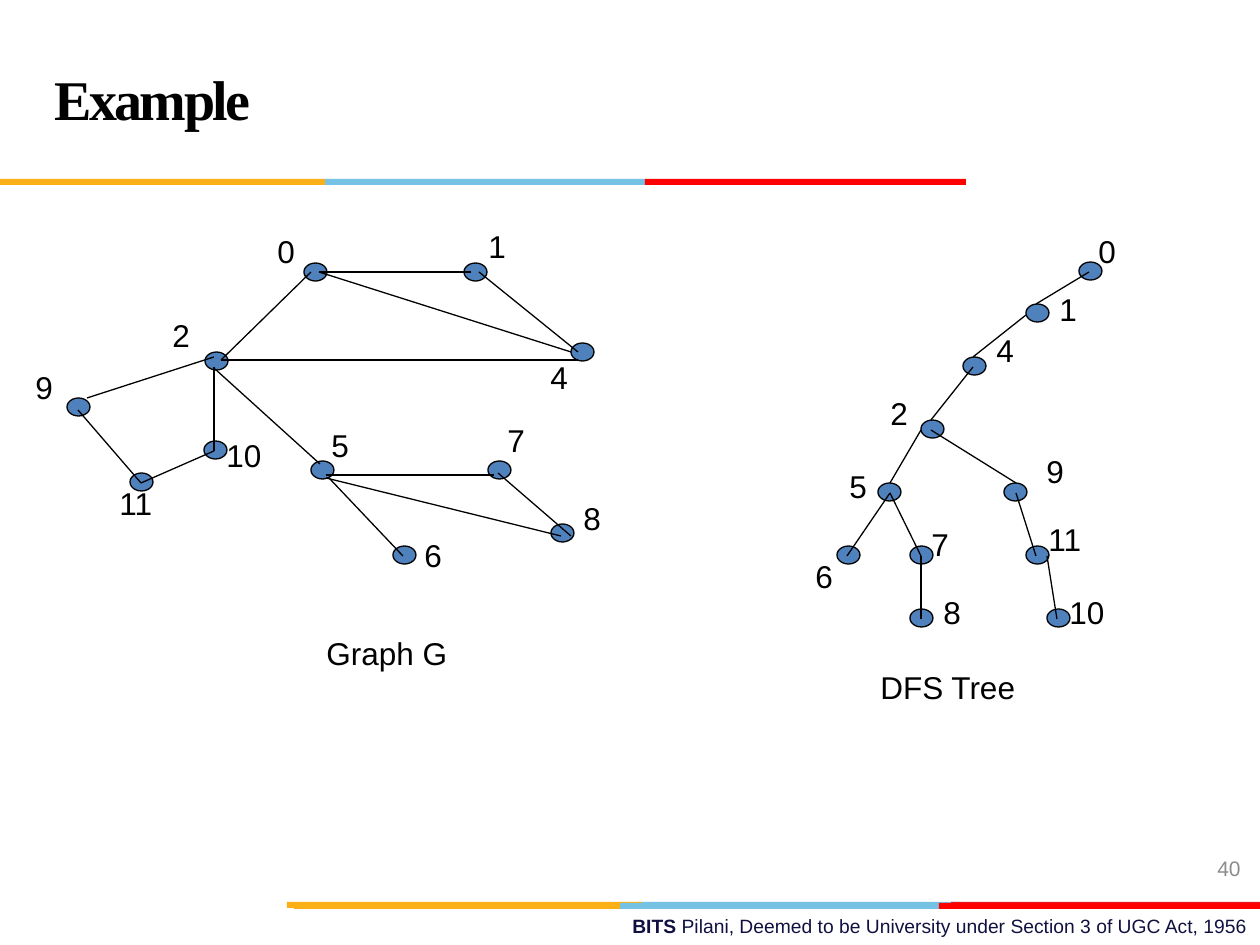
from typing import NamedTuple

from lxml.etree import SubElement
from pptx import Presentation
from pptx.dml.color import RGBColor
from pptx.enum.shapes import MSO_CONNECTOR, MSO_SHAPE
from pptx.enum.text import MSO_ANCHOR, PP_ALIGN
from pptx.oxml.ns import qn
from pptx.util import Emu, Pt

SCALE = 914400 / 126  # EMU in one px
WIDE, HIGH = 1260, 945
NODE_W, NODE_H = 23, 18
BAR_H = 6

BLACK = RGBColor(0x00, 0x00, 0x00)
NAVY = RGBColor(0x10, 0x11, 0x41)
GRAY = RGBColor(0x8C, 0x8C, 0x8C)
BLUE = RGBColor(0x4F, 0x81, 0xBD)
SKY = RGBColor(0x76, 0xC2, 0xE5)
GOLD = RGBColor(0xFC, 0xB0, 0x17)
RED = RGBColor(0xFF, 0x00, 0x00)
CRIMSON = RGBColor(0xE3, 0x1C, 0x24)


class Bar(NamedTuple):
    left: int
    top: int
    width: int
    color: RGBColor


class Node(NamedTuple):
    name: str
    left: int
    top: int
    text_x: int
    text_y: int


class Edge(NamedTuple):
    x1: int
    y1: int
    x2: int
    y2: int


class Graph(NamedTuple):
    title: str
    title_x: int
    title_y: int
    nodes: list[Node]
    edges: list[Edge]


BARS = [
    # Footer stripe, lower layer then upper layer
    Bar(638, 902, 321, SKY), Bar(951, 902, 309, CRIMSON), Bar(287, 902, 355, GOLD),
    Bar(620, 903, 321, SKY), Bar(294, 903, 326, GOLD), Bar(939, 903, 321, RED),
    # Stripe under the title
    Bar(325, 179, 321, SKY), Bar(0, 179, 325, GOLD), Bar(645, 179, 321, RED),
]

TREE = Graph(
    "DFS Tree", 868, 662,
    [
        Node("0", 1079, 262, 1086, 226), Node("1", 1026, 304, 1047, 284),
        Node("4", 963, 357, 984, 325), Node("2", 921, 420, 878, 388),
        Node("5", 878, 483, 837, 461), Node("9", 1004, 483, 1034, 446),
        Node("6", 837, 546, 803, 551), Node("7", 910, 546, 919, 519),
        Node("8", 910, 609, 931, 587), Node("11", 1026, 546, 1036, 514),
        Node("10", 1047, 609, 1057, 587),
    ],
    [
        Edge(1036, 304, 1089, 272), Edge(973, 357, 1026, 315),
        Edge(973, 367, 931, 420), Edge(890, 483, 921, 430),
        Edge(847, 556, 890, 493), Edge(890, 493, 921, 556),
        Edge(921, 556, 921, 619), Edge(931, 430, 1016, 483),
        Edge(1016, 493, 1036, 556), Edge(1047, 556, 1057, 619),
    ],
)

GRAPH = Graph(
    "Graph G", 314, 628,
    [
        Node("0", 304, 263, 265, 226), Node("1", 464, 263, 476, 221),
        Node("2", 205, 352, 160, 310), Node("4", 571, 343, 538, 352),
        Node("5", 311, 461, 319, 420), Node("6", 393, 546, 412, 530),
        Node("7", 488, 461, 495, 415), Node("8", 551, 524, 571, 493),
        Node("9", 67, 398, 23, 362), Node("10", 204, 441, 214, 430),
        Node("11", 130, 473, 107, 478),
    ],
    [
        Edge(319, 272, 471, 272), Edge(221, 360, 578, 360),
        Edge(221, 360, 311, 272), Edge(479, 272, 578, 352),
        Edge(326, 475, 494, 475), Edge(319, 272, 571, 352),
        Edge(320, 464, 215, 369), Edge(498, 473, 571, 536),
        Edge(329, 478, 403, 556), Edge(326, 478, 561, 536),
        Edge(214, 357, 87, 398), Edge(214, 367, 214, 451),
        Edge(78, 410, 141, 483), Edge(214, 451, 141, 483),
    ],
)


def px(*vals: int) -> list[Emu]:
    return [Emu(round(v * SCALE)) for v in vals]


def add_text(shapes, text: str, left: int, top: int, width: int, height: int, *,
             lead: str = "", size: int = 18, font: str = "Arial",
             color: RGBColor = BLACK, bold: bool = False, align=PP_ALIGN.LEFT,
             anchor=MSO_ANCHOR.TOP, pitch: int = 0, space: int = 0) -> None:
    """Write text; lead is a bold start, pitch the line height in points,
    space the letter spacing in hundredths of a point."""
    frame = shapes.add_textbox(*px(left, top, width, height)).text_frame
    frame.word_wrap = True
    frame.vertical_anchor = anchor
    para = frame.paragraphs[0]
    para.alignment = align
    if pitch:
        para.line_spacing = Pt(pitch)
    for part, heavy in ((lead, True), (text, bold)):
        if not part:
            continue
        run = para.add_run()
        run.text = part
        run.font.size = Pt(size)
        run.font.name = font
        run.font.bold = heavy
        run.font.color.rgb = color
        if space:
            run._r.get_or_add_rPr().set("spc", str(space))


def add_bar(shapes, bar: Bar) -> None:
    shape = shapes.add_shape(MSO_SHAPE.RECTANGLE, *px(bar.left, bar.top, bar.width, BAR_H))
    shape.shadow.inherit = False
    shape.fill.solid()
    shape.fill.fore_color.rgb = bar.color
    shape.line.fill.background()


def add_node(shapes, node: Node) -> None:
    shape = shapes.add_shape(MSO_SHAPE.OVAL, *px(node.left, node.top, NODE_W, NODE_H))
    shape.shadow.inherit = False
    shape.fill.solid()
    shape.fill.fore_color.rgb = BLUE
    shape.line.color.rgb = BLACK
    shape.line.width = Pt(0.75)


def add_edge(shapes, edge: Edge) -> None:
    line = shapes.add_connector(MSO_CONNECTOR.STRAIGHT, *px(*edge))
    line.line.color.rgb = BLACK
    line.line.width = Pt(0.75)
    SubElement(line._element.spPr, qn("a:effectLst"))


def add_graph(shapes, graph: Graph) -> None:
    group = shapes.add_group_shape().shapes
    for node in graph.nodes:
        add_node(group, node)
    for edge in graph.edges:
        add_edge(group, edge)
    for node in graph.nodes:
        width = 47 if len(node.name) == 1 else 67
        add_text(group, node.name, node.text_x, node.text_y, width, 63)
    add_text(group, graph.title, graph.title_x, graph.title_y, 190, 63)


def main() -> None:
    deck = Presentation()
    deck.slide_width, deck.slide_height = px(WIDE, HIGH)
    shapes = deck.slides.add_slide(deck.slide_layouts[6]).shapes

    # Footer and stripes
    add_text(shapes, "Pilani, Deemed to be University under Section 3 of UGC Act, 1956",
             451, 908, 809, 37, lead="BITS ", size=11, color=NAVY, align=PP_ALIGN.RIGHT)
    for bar in BARS:
        add_bar(shapes, bar)

    # Title and page number
    add_text(shapes, "Example", 42, 21, 998, 158, size=32, font="Times New Roman",
             bold=True, anchor=MSO_ANCHOR.MIDDLE, pitch=36, space=-150)
    add_text(shapes, "40", 959, 843, 294, 50, size=12, color=GRAY,
             align=PP_ALIGN.RIGHT, anchor=MSO_ANCHOR.MIDDLE)

    # The graph and its search tree
    for graph in (TREE, GRAPH):
        add_graph(shapes, graph)

    deck.save("out.pptx")


if __name__ == "__main__":
    main()
